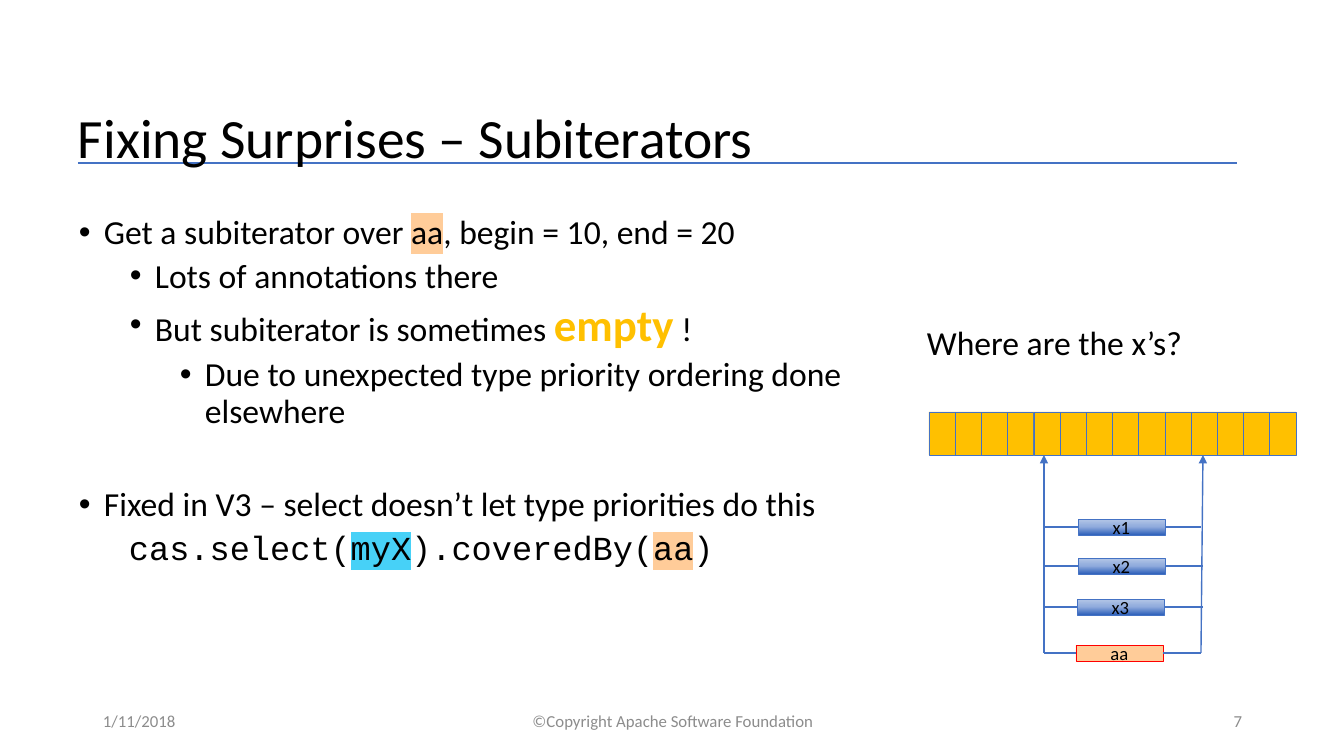
"""Build the slide on subiterator surprises."""
import copy
import pptx
import pptx.util
import pptx.dml.color
import pptx.enum.shapes
import pptx.enum.text
import pptx.oxml
import pptx.oxml.ns

HEX = {"black": "000000", "gray": "8C8C8C", "blue": "4472C4", "gold": "FFC000",
       "peach": "FFCC99", "sky": "47D1F7", "red": "FF0000"}
SHADE = [(0, "B4C7E7"), (0.5, "8FAADC"), (1, "3062BB")]
SANS, MONO = "Calibri", "Courier New"

TITLE = "Fixing Surprises – Subiterators"
BODY = [
    (25, True, 0, SANS, [("Get a subiterator over ",), ("aa", "peach"),
                         (", begin = 10, end = 20",)]),
    (76, True, 5, SANS, [("Lots of annotations there",)]),
    (76, True, 5, SANS, [("But subiterator is sometimes ",), ("empty", "big"), (" !",)]),
    (126, True, 5, SANS, [("Due to unexpected type priority ordering done elsewhere",)]),
    (25, True, 41, SANS, [("Fixed in V3 – select doesn’t let type priorities do this",)]),
    (50, False, 5, MONO, [("cas.select(",), ("myX", "sky"), (").coveredBy(",),
                          ("aa", "peach"), (")",)]),
]
FOOT = [("1/11/2018", 93, 302, "LEFT"),
        ("©Copyright Apache Software Foundation", 446, 454, "CENTER"),
        ("7", 950, 302, "RIGHT")]
ASK = "Where are the x’s?"
STRIP = (929, 412, 367, 43)
CELLS = 14
POST, FLOOR = 1044, 653
BARS = [("x1", 1078, 519, 1201), ("x2", 1078, 558, 1203),
        ("x3", 1077, 599, 1203), ("aa", 1076, 645, 1201)]
BAR_W, BAR_H = 87, 16

SCALE = 914400 / 100.8
qn = pptx.oxml.ns.qn
Pt = pptx.util.Pt
ALIGN = pptx.enum.text.PP_ALIGN
MIDDLE = pptx.enum.text.MSO_ANCHOR.MIDDLE


def px(*vals):
    return [round(v * SCALE) for v in vals]


def rgb(name):
    return pptx.dml.color.RGBColor.from_string(HEX.get(name, name))


def style(para, size, color="black", face=SANS, align="LEFT"):
    para.alignment = ALIGN[align]
    para.font.size = Pt(size)
    para.font.name = face
    para.font.color.rgb = rgb(color)


def label(text, box, size, color="black", align="LEFT", wrap=True):
    frame = slide.shapes.add_textbox(*px(*box)).text_frame
    frame.word_wrap = wrap
    frame.vertical_anchor = MIDDLE
    para = frame.paragraphs[0]
    para.text = text
    style(para, size, color, align=align)


def rect(box, fill, edge):
    shape = slide.shapes.add_shape(pptx.enum.shapes.MSO_SHAPE.RECTANGLE, *px(*box))
    shape.shadow.inherit = False
    shape.line.color.rgb = rgb(edge)
    shape.line.width = Pt(0.5)
    if fill == "shade":
        shape.fill.gradient()
        shape.fill.gradient_angle = 270
        stops = shape._element.find(".//" + qn("a:gsLst"))
        stops.append(copy.deepcopy(stops[0]))
        for stop, (pos, tone) in zip(shape.fill.gradient_stops, SHADE):
            stop.position = pos
            stop.color.rgb = rgb(tone)
    else:
        shape.fill.solid()
        shape.fill.fore_color.rgb = rgb(fill)
    return shape


def line(x1, y1, x2, y2, width=1, arrow=False):
    kind = pptx.enum.shapes.MSO_CONNECTOR.STRAIGHT
    wire = slide.shapes.add_connector(kind, *px(x1, y1, x2, y2))
    wire.line.color.rgb = rgb("blue")
    wire.line.width = Pt(width)
    if arrow:
        tip = pptx.oxml.ns.qn("a:tailEnd")
        wire.line._get_or_add_ln().makeelement(tip, {})
        pptx.oxml.parse_xml
        add(wire.line._get_or_add_ln(), "a:tailEnd", type="triangle")
    add(wire._element.spPr, "a:effectLst")


def add(parent, tag, **attrs):
    node = parent.makeelement(qn(tag), attrs)
    parent.append(node)
    return node


def body():
    frame = slide.shapes.add_textbox(*px(69, 211, 824, 444)).text_frame
    frame.word_wrap = True
    for i, (left, dot, gap, face, runs) in enumerate(BODY):
        para = frame.add_paragraph() if i else frame.paragraphs[0]
        para.line_spacing = 0.9
        para.space_before = Pt(gap)
        props = para._p.get_or_add_pPr()
        props.set("marL", str(px(left)[0]))
        props.set("indent", str(px(-25 if dot else 0)[0]))
        if dot:
            add(props, "a:buFont", typeface="Arial")
            add(props, "a:buChar", char="•")
        else:
            add(props, "a:buNone")
        style(para, 24, face=face)
        for text, *mark in runs:
            run = para.add_run()
            run.text = text
            if mark == ["big"]:
                run.font.size = Pt(32)
                run.font.bold = True
                run.font.color.rgb = rgb("gold")
            elif mark:
                glow = add(run._r.get_or_add_rPr(), "a:highlight")
                add(glow, "a:srgbClr", val=HEX[mark[0]])


def chart():
    left, top, width, height = STRIP
    step = width / CELLS
    for i in range(CELLS):
        rect((left + i * step, top, step, height), "gold", "blue")
    base = top + height
    line(POST, FLOOR, POST, base, arrow=True)
    line(1201, FLOOR, 1203, base, arrow=True)
    for text, x, y, end in BARS:
        tones = ("peach", "red") if text == "aa" else ("shade", "blue")
        frame = rect((x, y, BAR_W, BAR_H), *tones).text_frame
        frame.vertical_anchor = MIDDLE
        frame.paragraphs[0].text = text
        style(frame.paragraphs[0], 13.3, align="CENTER")
        mid = y + BAR_H / 2
        line(POST, mid, x, mid)
        line(x + BAR_W, mid, end, mid)


deck = pptx.Presentation()
deck.slide_width, deck.slide_height = px(1344, 756)
slide = deck.slides.add_slide(deck.slide_layouts[6])
line(78, 163, 1237, 163, 2)
label(TITLE, (68, 113, 1210, 47), 39.6)
body()
chart()
label(ASK, (917, 317, 278, 50), 24, wrap=False)
for text, x, width, align in FOOT:
    label(text, (x, 701, width, 40), 12, "gray", align)
deck.save("out.pptx")
